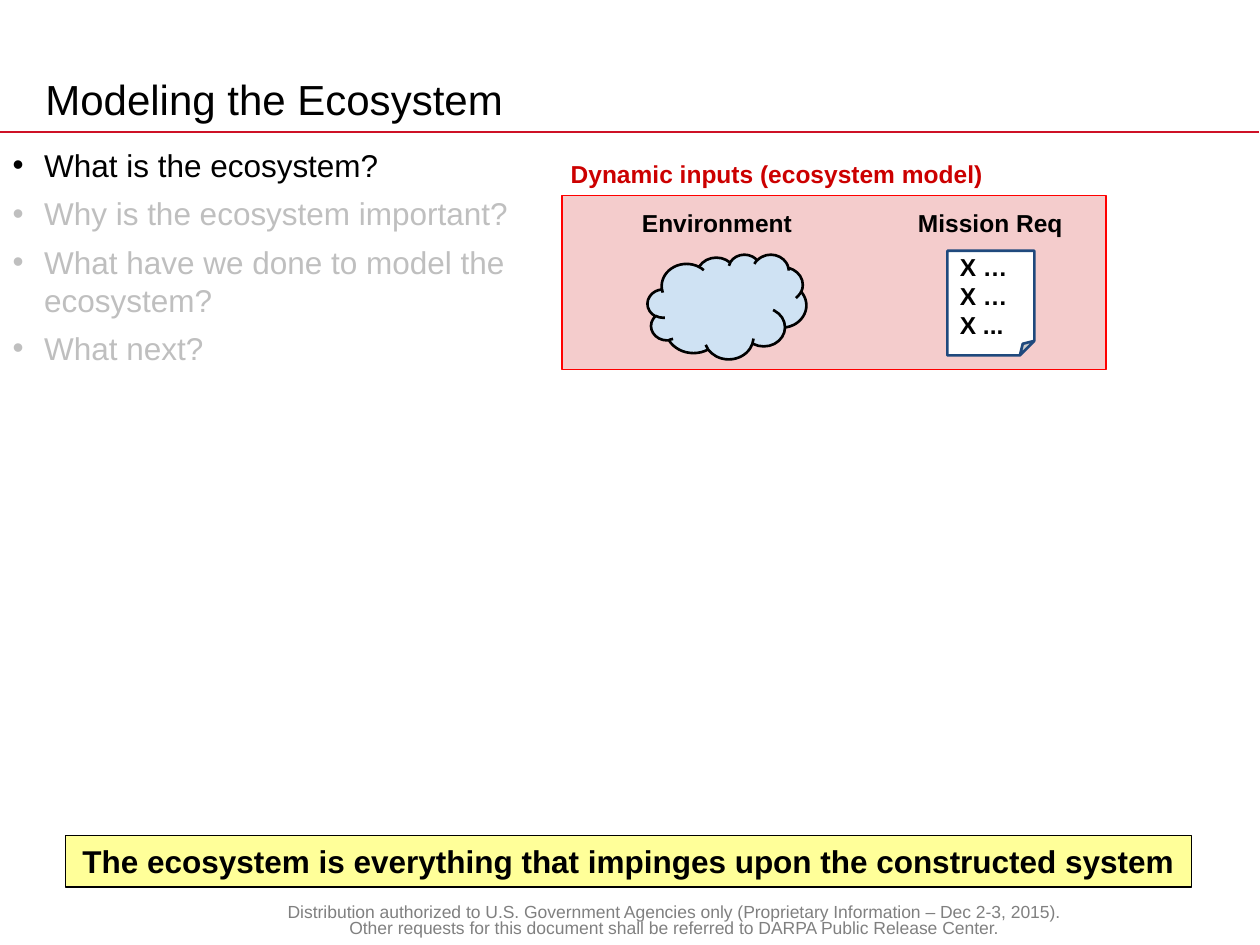
from lxml import etree
from pptx import Presentation
from pptx import util as u
from pptx.dml.color import RGBColor
from pptx.enum import shapes, text
from pptx.oxml import ns

BLACK = RGBColor(0x00, 0x00, 0x00)
WHITE = RGBColor(0xFF, 0xFF, 0xFF)
GREY = RGBColor(0x80, 0x80, 0x80)
FADED = RGBColor(0xBF, 0xBF, 0xBF)
RULE_RED = RGBColor(0xCE, 0x11, 0x26)
LABEL_RED = RGBColor(0xCC, 0x00, 0x00)
BORDER_RED = RGBColor(0xFF, 0x00, 0x00)
PINK = RGBColor(0xF4, 0xCC, 0xCC)
SKY = RGBColor(0xCF, 0xE2, 0xF3)
NAVY = RGBColor(0x1F, 0x49, 0x7D)
YELLOW = RGBColor(0xFF, 0xFF, 0x99)

LEFT, CENTER = text.PP_ALIGN.LEFT, text.PP_ALIGN.CENTER
TOP, MIDDLE = text.MSO_ANCHOR.TOP, text.MSO_ANCHOR.MIDDLE
KIND = shapes.MSO_SHAPE


def write(para, words, size=14, color=BLACK, bold=False, align=LEFT, spacing=None):
    para.alignment = align
    if spacing:
        para.line_spacing = spacing
    span = para.add_run()
    span.text = words
    span.font.name = "Arial"
    span.font.size = u.Pt(size)
    span.font.bold = bold
    span.font.color.rgb = color


class Sheet:
    inset = 7.2
    indent = 18

    def __init__(self, page):
        self.page = page

    def place(self, box, left, top, width, height):
        box.left, box.top = u.Pt(left), u.Pt(top)
        box.width, box.height = u.Pt(width), u.Pt(height)

    def frame(self, box, anchor=TOP, inset=None):
        frame = box.text_frame
        frame.word_wrap = True
        frame.auto_size = text.MSO_AUTO_SIZE.NONE
        frame.vertical_anchor = anchor
        frame.margin_left = frame.margin_right = u.Pt(self.inset)
        frame.margin_top = frame.margin_bottom = u.Pt(self.inset if inset is None else inset)
        return frame

    def title(self, words, area):
        box = self.page.shapes.title
        self.place(box, *area)
        write(self.frame(box).paragraphs[0], words, size=24)

    def bullets(self, items, area):
        box = self.page.placeholders[1]
        self.place(box, *area)
        frame = self.frame(box)
        for index, (words, color) in enumerate(items):
            para = frame.add_paragraph() if index else frame.paragraphs[0]
            para.space_before, para.space_after = u.Pt(0), u.Pt(6)
            props = para._p.get_or_add_pPr()
            props.set("marL", str(u.Pt(self.indent)))
            props.set("indent", str(-u.Pt(self.indent)))
            etree.SubElement(props, ns.qn("a:buFont")).set("typeface", "Arial")
            etree.SubElement(props, ns.qn("a:buChar")).set("char", "•")
            write(para, words, size=18, color=color)

    def label(self, words, area, inset=None, **style):
        box = self.page.shapes.add_textbox(*map(u.Pt, area))
        write(self.frame(box, inset=inset).paragraphs[0], words, **style)

    def shape(self, kind, area, fill, line, weight, lines=(), **style):
        box = self.page.shapes.add_shape(kind, *map(u.Pt, area))
        box.shadow.inherit = False
        box.fill.solid()
        box.fill.fore_color.rgb = fill
        box.line.color.rgb = line
        box.line.width = u.Pt(weight)
        frame = self.frame(box, anchor=MIDDLE)
        for index, words in enumerate(lines):
            para = frame.add_paragraph() if index else frame.paragraphs[0]
            write(para, words, **style)

    def rule(self, left, right, top, color):
        line = self.page.shapes.add_connector(
            shapes.MSO_CONNECTOR.STRAIGHT, u.Pt(left), u.Pt(top), u.Pt(right), u.Pt(top))
        line.line.color.rgb = color
        line.line.width = u.Pt(1)
        etree.SubElement(line._element.spPr, ns.qn("a:effectLst"))


def main():
    deck = Presentation()
    deck.slide_width, deck.slide_height = u.Pt(720), u.Pt(540)
    sheet = Sheet(deck.slides.add_slide(deck.slide_layouts[1]))

    sheet.rule(0, 719.3, 75.6, RULE_RED)
    sheet.label(
        "Distribution authorized to U.S. Government Agencies only "
        "(Proprietary Information – Dec 2-3, 2015). Other requests for this document "
        "shall be referred to DARPA Public Release Center.",
        (152, 513.4, 466, 22.3), inset=3.6, size=10, color=GREY, align=CENTER, spacing=0.8)
    sheet.title("Modeling the Ecosystem", (18.7, 34.6, 350.6, 59.8))
    sheet.bullets([
        ("What is the ecosystem?", BLACK),
        ("Why is the ecosystem important?", FADED),
        ("What have we done to model the ecosystem?", FADED),
        ("What next?", FADED),
    ], (0, 76.3, 316, 156.2))

    sheet.label("Dynamic inputs (ecosystem model)", (319, 83.5, 331, 38.9),
                color=LABEL_RED, bold=True)
    sheet.shape(KIND.RECTANGLE, (321.1, 111.6, 311, 99.4), PINK, BORDER_RED, 0.75)
    sheet.shape(KIND.CLOUD, (370.1, 145.4, 90.7, 59.8), SKY, BLACK, 1.5)
    for words, left in (("Environment", 352.8), ("Mission Req", 509)):
        sheet.label(words, (left, 111.6, 113.8, 36.7), bold=True, align=CENTER)
    sheet.shape(KIND.FOLDED_CORNER, (541.4, 143.3, 49.7, 59.8), WHITE, NAVY, 1.5,
                ["X …", "X …", "X ..."], bold=True)

    sheet.shape(KIND.RECTANGLE, (37.4, 477.4, 643.7, 29.5), YELLOW, BLACK, 0.75,
                ["The ecosystem is everything that impinges upon the constructed system"],
                size=18, bold=True, align=CENTER)
    deck.save("out.pptx")


if __name__ == "__main__":
    main()
